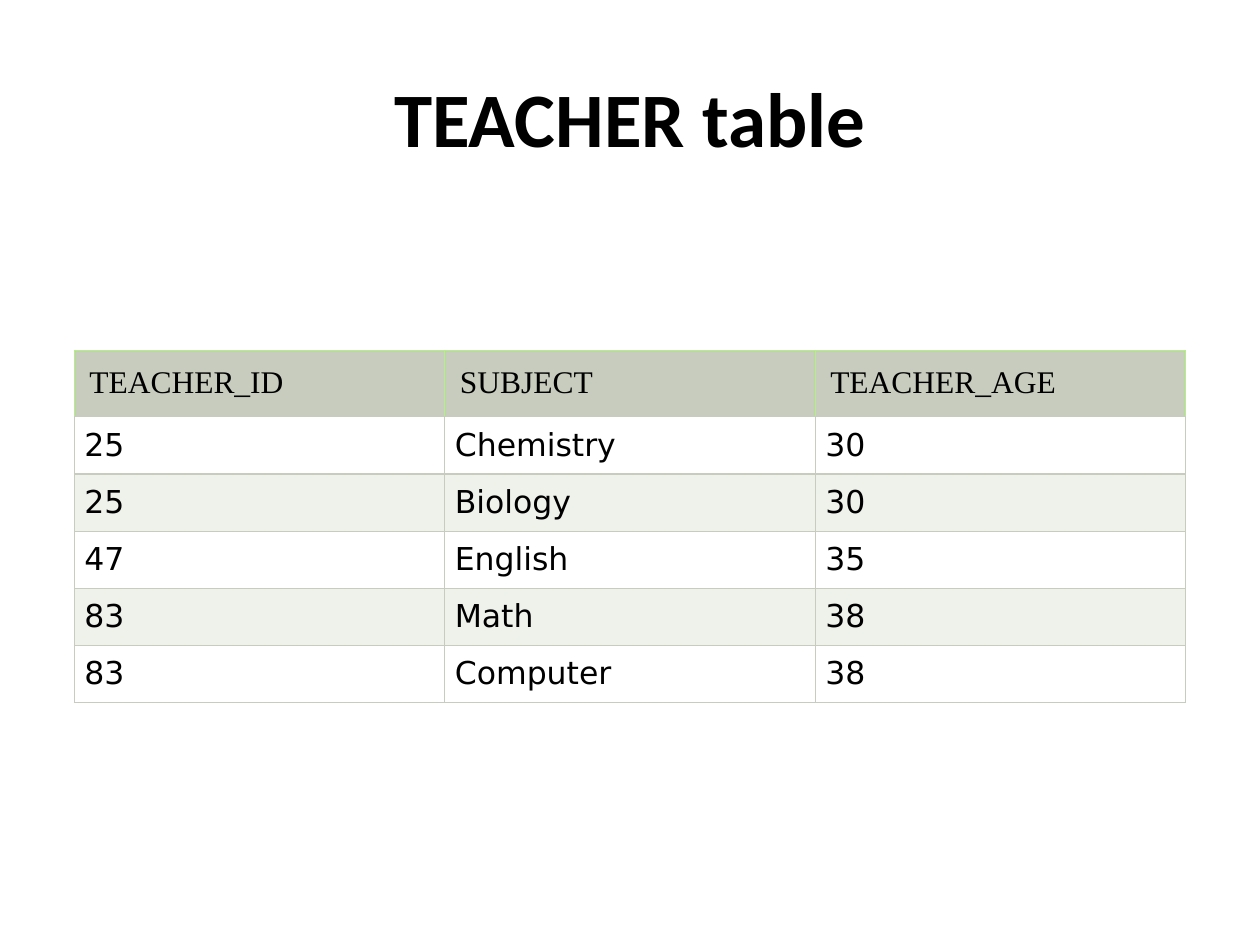
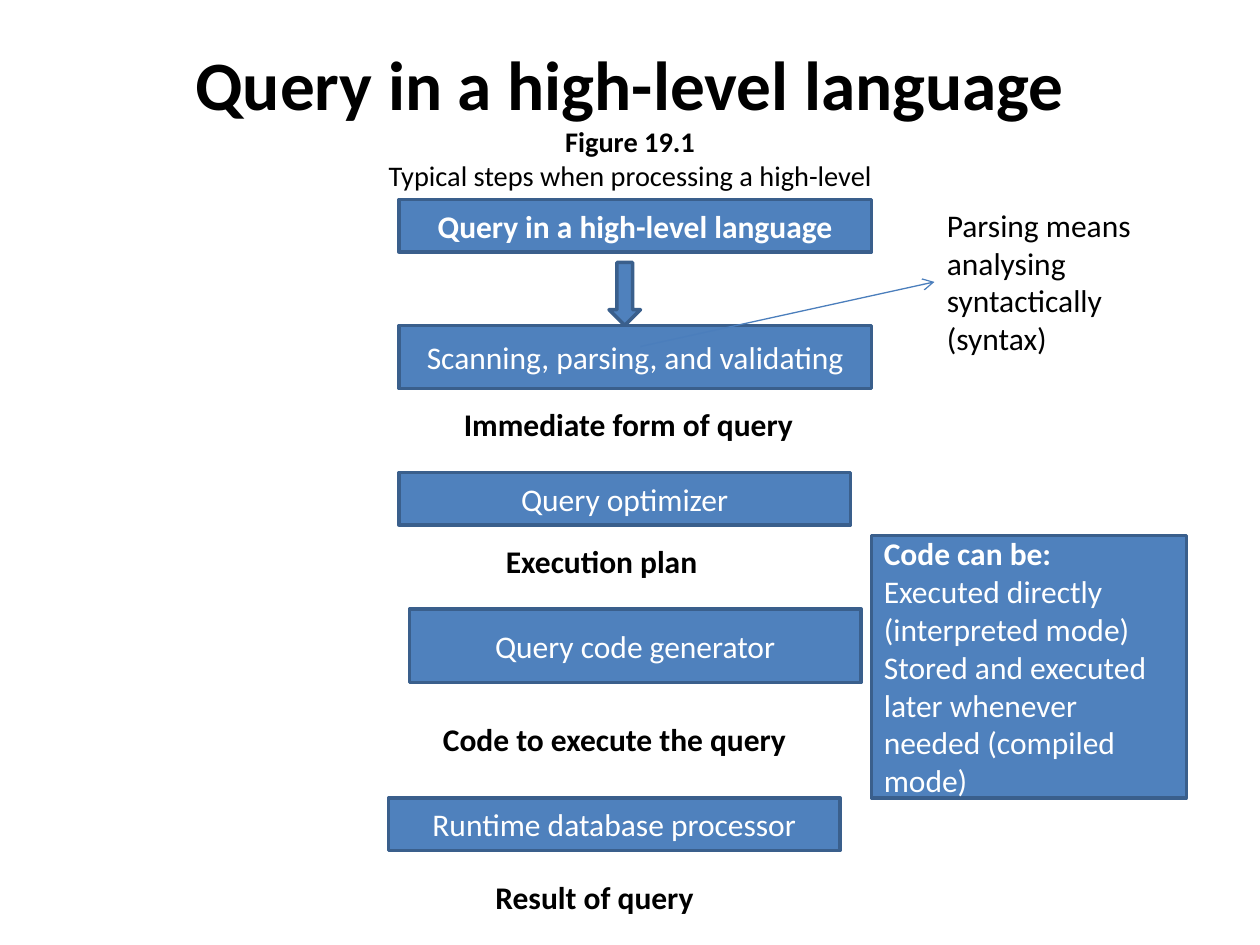
from dataclasses import dataclass
from typing import Any

from lxml import etree
from pptx import Presentation, util as u
from pptx.dml import color
from pptx.enum import shapes, text
from pptx.oxml import ns

WIDTH, HEIGHT = u.Inches(10), u.Inches(7.5)
COLUMNS, ROWS = 120, 90
BLACK, WHITE = "000000", "FFFFFF"
STEP_FILL, STEP_EDGE, POINTER = "4F81BD", "3A5F8C", "4B7EBC"
HEADER_FILL, HEADER_EDGE, BAND_FILL = "C7CCBE", "B0F37B", "EFF1EB"
CENTER, LEFT = text.PP_ALIGN.CENTER, text.PP_ALIGN.LEFT
MIDDLE, TOP = text.MSO_ANCHOR.MIDDLE, text.MSO_ANCHOR.TOP


@dataclass(frozen=True)
class Area:
    column: float
    row: float
    columns: float
    rows: float

    def place(self) -> tuple[int, int, int, int]:
        return (across(self.column), down(self.row),
                across(self.columns), down(self.rows))


@dataclass(frozen=True)
class Line:
    words: str
    size: float = 18
    bold: bool = False


@dataclass(frozen=True)
class Block:
    area: Area
    lines: tuple[Line, ...]
    align: Any = CENTER


@dataclass(frozen=True)
class CellStyle:
    font: str
    inset: float
    edges: dict[str, str]


TITLE_AREA = Area(6, 3.6, 108, 15)
TABLE_AREA = Area(7.08, 33.4, 105.84, 33.36)
HEADER_STYLE = CellStyle("Times New Roman", 0.12, {
    "L": HEADER_EDGE, "R": HEADER_EDGE, "T": HEADER_EDGE, "B": HEADER_FILL})
BODY_STYLE = CellStyle("DejaVu Sans", 0.08, dict.fromkeys("LRTB", HEADER_FILL))

TEACHERS = (
    ("TEACHER_ID", "SUBJECT", "TEACHER_AGE"),
    ("25", "Chemistry", "30"),
    ("25", "Biology", "30"),
    ("47", "English", "35"),
    ("83", "Math", "38"),
    ("83", "Computer", "38"),
)

STEPS = (
    Block(Area(38, 19, 45, 5), (Line("Query in a high-level language", bold=True),)),
    Block(Area(38, 31, 45, 6), (Line("Scanning, parsing, and validating"),)),
    Block(Area(38, 45, 43, 5), (Line("Query optimizer"),)),
    Block(Area(37, 76, 43, 5), (Line("Runtime database processor"),)),
    Block(Area(39, 58, 43, 7), (Line("Query code generator"),)),
    Block(Area(83, 51, 30, 25), (
        Line("Code can be:", bold=True),
        Line("Executed directly (interpreted mode)"),
        Line("Stored and executed later whenever"),
        Line("needed (compiled mode)"),
    ), LEFT),
)

RESULTS = (
    Block(Area(43, 38, 34.1, 4.8), (Line("Immediate form of query", bold=True),), LEFT),
    Block(Area(47, 51, 20.8, 4.8), (Line("Execution plan", bold=True),), LEFT),
    Block(Area(41, 68, 35.4, 4.8), (Line("Code to execute the query", bold=True),), LEFT),
    Block(Area(46, 83, 21.5, 4.8), (Line("Result of query", bold=True),), LEFT),
)

PARSING_NOTE = Block(Area(89, 19, 24, 15.7), (
    Line("Parsing means analysing syntactically (syntax)"),), LEFT)


def across(columns: float) -> int:
    return round(WIDTH * columns / COLUMNS)


def down(rows: float) -> int:
    return round(HEIGHT * rows / ROWS)


def rgb(value: str) -> color.RGBColor:
    return color.RGBColor.from_string(value)


def apply(target: Any, values: dict[str, Any]) -> None:
    for attribute, value in values.items():
        setattr(target, attribute, value)


def paint(fill: Any, value: str) -> None:
    fill.solid()
    fill.fore_color.rgb = rgb(value)


def add_words(paragraph: Any, line: Line, ink: str, font: str = "Calibri") -> None:
    run = paragraph.add_run()
    run.text = line.words
    apply(run.font, {"name": font, "size": u.Pt(line.size), "bold": line.bold})
    run.font.color.rgb = rgb(ink)


def write(frame: Any, block: Block, ink: str) -> None:
    for number, line in enumerate(block.lines):
        paragraph = frame.add_paragraph() if number else frame.paragraphs[0]
        paragraph.alignment = block.align
        add_words(paragraph, line, ink)


def add_titled_slide(deck: Any, *lines: Line) -> Any:
    slide = deck.slides.add_slide(deck.slide_layouts[5])
    title = slide.shapes.title
    apply(title, dict(zip(("left", "top", "width", "height"), TITLE_AREA.place())))
    apply(title.text_frame, {"vertical_anchor": MIDDLE, "word_wrap": True,
                             "auto_size": text.MSO_AUTO_SIZE.NONE})
    heading = title.text_frame.paragraphs[0]
    heading.alignment = CENTER
    for number, line in enumerate(lines):
        if number:
            heading.add_line_break()
        add_words(heading, line, BLACK)
    return slide


def add_figure(slide: Any, preset: Any, area: Area) -> Any:
    figure = slide.shapes.add_shape(preset, *area.place())
    figure.shadow.inherit = False
    paint(figure.fill, STEP_FILL)
    paint(figure.line.fill, STEP_EDGE)
    figure.line.width = u.Pt(2)
    return figure


def add_step(slide: Any, step: Block) -> None:
    frame = add_figure(slide, shapes.MSO_SHAPE.RECTANGLE, step.area).text_frame
    apply(frame, {"vertical_anchor": MIDDLE, "word_wrap": True})
    write(frame, step, WHITE)


def add_caption(slide: Any, caption: Block, wrap: bool) -> None:
    frame = slide.shapes.add_textbox(*caption.area.place()).text_frame
    apply(frame, {"word_wrap": wrap, "vertical_anchor": TOP,
                  "auto_size": text.MSO_AUTO_SIZE.SHAPE_TO_FIT_TEXT})
    write(frame, caption, BLACK)


def add_pointer(slide: Any, start: tuple[float, float], end: tuple[float, float]) -> None:
    pointer = slide.shapes.add_connector(
        shapes.MSO_CONNECTOR.STRAIGHT,
        across(start[0]), down(start[1]), across(end[0]), down(end[1]))
    paint(pointer.line.fill, POINTER)
    pointer.line.width = u.Pt(0.75)
    etree.SubElement(pointer.line._get_or_add_ln(), ns.qn("a:tailEnd"), type="arrow")
    etree.SubElement(pointer._element.spPr, ns.qn("a:effectLst"))


def format_cell(cell: Any, words: str, style: CellStyle, fill: str) -> None:
    sides = ("left", "right", "top", "bottom")
    apply(cell, {f"margin_{side}": u.Inches(style.inset) for side in sides})
    cell.vertical_anchor = TOP
    properties = cell._tc.get_or_add_tcPr()
    for side, edge in style.edges.items():
        border = etree.SubElement(properties, ns.qn(f"a:ln{side}"), w=str(u.Pt(0.75)))
        solid = etree.SubElement(border, ns.qn("a:solidFill"))
        etree.SubElement(solid, ns.qn("a:srgbClr"), val=edge)
    paint(cell.fill, fill)
    add_words(cell.text_frame.paragraphs[0], Line(words), BLACK, style.font)


def add_teacher_table(slide: Any) -> None:
    table = slide.shapes.add_table(
        len(TEACHERS), len(TEACHERS[0]), *TABLE_AREA.place()).table
    for number, record in enumerate(TEACHERS):
        is_header = number == 0
        table.rows[number].height = down(6.3 if is_header else 5.45)
        style = HEADER_STYLE if is_header else BODY_STYLE
        band = WHITE if number % 2 else BAND_FILL
        for column, words in enumerate(record):
            format_cell(table.cell(number, column), words, style,
                        HEADER_FILL if is_header else band)


def add_query_steps(slide: Any) -> None:
    for step in STEPS:
        add_step(slide, step)
    for result in RESULTS:
        add_caption(slide, result, wrap=False)
    add_figure(slide, shapes.MSO_SHAPE.DOWN_ARROW, Area(58, 25, 3, 6))
    add_caption(slide, PARSING_NOTE, wrap=True)
    add_pointer(slide, (61, 33), (89, 26.85))


def main() -> None:
    deck = Presentation()
    apply(deck, {"slide_width": WIDTH, "slide_height": HEIGHT})
    add_teacher_table(add_titled_slide(deck, Line("TEACHER table", 44, True)))
    add_query_steps(add_titled_slide(
        deck,
        Line("Query in a high-level language", 39.6, True),
        Line("Figure 19.1", 16.2, True),
        Line("Typical steps when processing a high-level", 16.2),
    ))
    deck.save("out.pptx")


if __name__ == "__main__":
    main()
